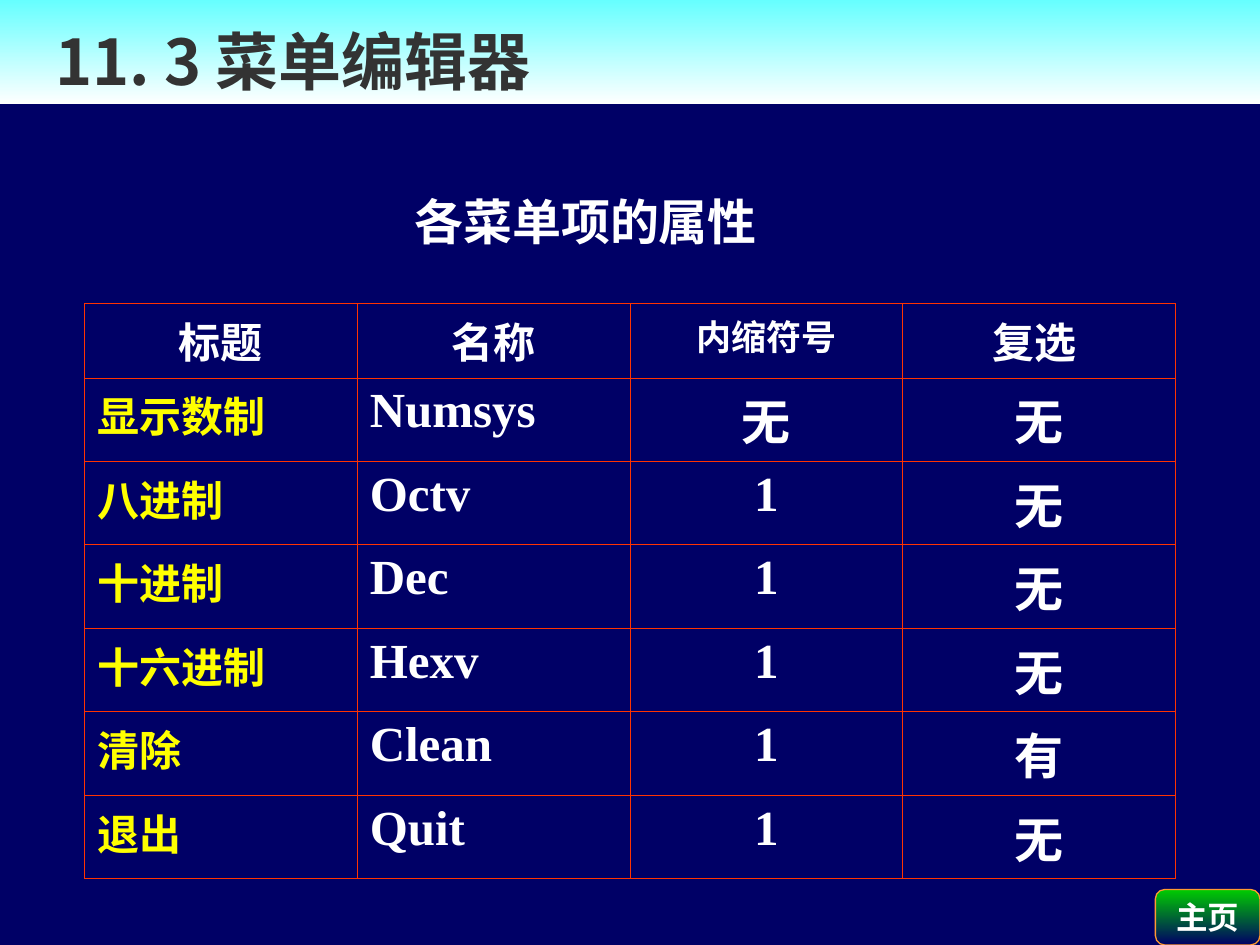
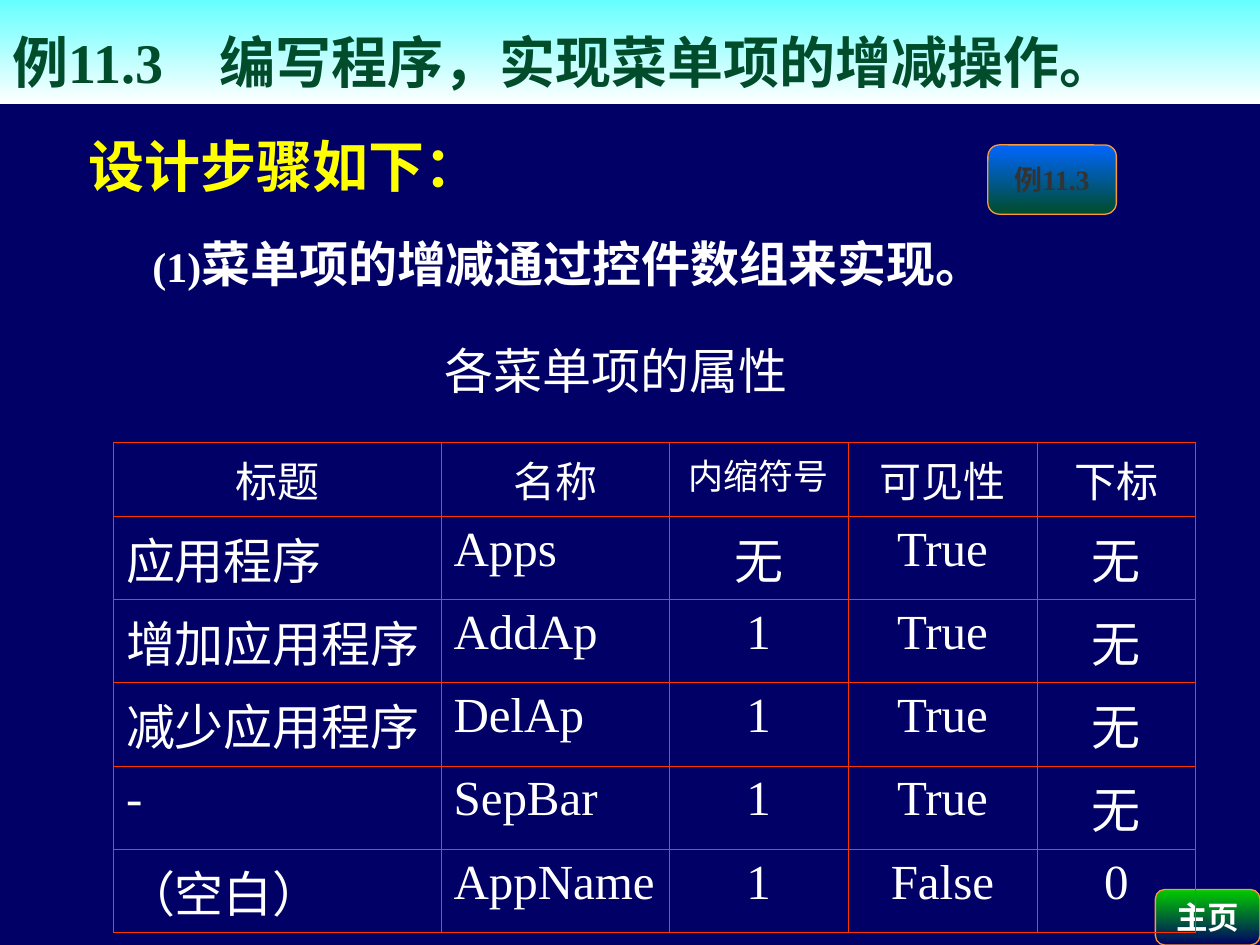
from lxml import etree
from pptx import Presentation
from pptx.dml.color import RGBColor
from pptx.enum.shapes import MSO_SHAPE
from pptx.enum.text import MSO_ANCHOR, MSO_AUTO_SIZE, PP_ALIGN
from pptx.oxml.ns import qn
from pptx.util import Inches, Pt

RECTANGLE = MSO_SHAPE.RECTANGLE
ROUNDED = MSO_SHAPE.ROUNDED_RECTANGLE
LEFT, CENTER = PP_ALIGN.LEFT, PP_ALIGN.CENTER
MIDDLE, BOTTOM = MSO_ANCHOR.MIDDLE, MSO_ANCHOR.BOTTOM
GROW = MSO_AUTO_SIZE.SHAPE_TO_FIT_TEXT

NAVY = RGBColor(0x00, 0x00, 0x66)
WHITE = RGBColor(0xFF, 0xFF, 0xFF)
YELLOW = RGBColor(0xFF, 0xFF, 0x00)
CYAN = RGBColor(0x66, 0xFF, 0xFF)
GREEN = RGBColor(0x00, 0xCC, 0x00)
DARK_GREEN = RGBColor(0x00, 0x4C, 0x2B)
BLUE = RGBColor(0x00, 0x66, 0xFF)
ORANGE = RGBColor(0xFF, 0x99, 0x33)
RED = RGBColor(0xFF, 0x33, 0x00)
CHARCOAL = RGBColor(0x33, 0x33, 0x33)

SERIF = "Times New Roman"
CJK_JP = "Noto Sans CJK JP"
CJK = "Noto Sans CJK SC"

MENU_ROWS = [
    ["标题", "名称", "内缩符号", "复选 "],
    ["显示数制", "Numsys", "无", "无"],
    ["八进制", "Octv", "1", "无"],
    ["十进制", "Dec", "1", "无"],
    ["十六进制", "Hexv", "1", "无"],
    ["清除", "Clean", "1", "有"],
    ["退出", "Quit", "1", "无"],
]
APP_ROWS = [
    ["标题", "名称", "内缩符号", "可见性", "下标"],
    ["应用程序", "Apps", "无", "True", "无"],
    ["增加应用程序", "AddAp", "1", "True", "无"],
    ["减少应用程序", "DelAp", "1", "True", "无"],
    ["-", "SepBar", "1", "True", "无"],
    ["（空白）", "AppName", "1", "False", "0"],
]


def add_run(paragraph, text, size, color, bold=True, latin=SERIF):
    run = paragraph.add_run()
    run.text = text
    font = run.font
    font.name, font.size, font.bold = latin, Pt(size), bold
    font.color.rgb = color
    east_asian = etree.Element(qn("a:ea"), typeface=CJK)
    font._element.find(qn("a:latin")).addnext(east_asian)


def add_gradient_shape(slide, kind, box, top_color, bottom_color):
    shape = slide.shapes.add_shape(kind, *map(Inches, box))
    shape.shadow.inherit = False
    shape.fill.gradient()
    shape.fill.gradient_angle = 270
    for stop, color in zip(shape.fill.gradient_stops, (top_color, bottom_color)):
        stop.color.rgb = color
    return shape


def add_button(slide, box, label, size, top_color, bottom_color, text_color):
    button = add_gradient_shape(slide, ROUNDED, box, top_color, bottom_color)
    button.line.color.rgb = ORANGE
    button.line.width = Pt(0.75)
    frame = button.text_frame
    frame.word_wrap = False
    frame.vertical_anchor = MIDDLE
    paragraph = frame.paragraphs[0]
    paragraph.alignment = CENTER
    add_run(paragraph, label, size, text_color)


def add_title_band(slide, left_inset, bottom_inset):
    band = add_gradient_shape(slide, RECTANGLE, (0, 0, 10, 0.83), CYAN, WHITE)
    band.line.fill.background()
    frame = band.text_frame
    frame.word_wrap = True
    frame.vertical_anchor = BOTTOM
    frame.margin_left = Inches(left_inset)
    frame.margin_bottom = Inches(bottom_inset)
    paragraph = frame.paragraphs[0]
    paragraph.alignment = LEFT
    return paragraph


def add_tab_stop(paragraph, position):
    tab_list = etree.SubElement(paragraph._p.get_or_add_pPr(), qn("a:tabLst"))
    etree.SubElement(tab_list, qn("a:tab"), pos=str(Inches(position)), algn="l")


def add_caption(slide, left, top, bold):
    box = slide.shapes.add_textbox(Inches(left), Inches(top), Inches(3.39), Inches(0.57))
    frame = box.text_frame
    frame.word_wrap = True
    frame.auto_size = GROW
    add_run(frame.paragraphs[0], "各菜单项的属性", 28, WHITE, bold)


def add_steps(slide, left, top, width, height):
    box = slide.shapes.add_textbox(*map(Inches, (left, top, width, height)))
    frame = box.text_frame
    frame.word_wrap = True
    frame.margin_left = frame.margin_top = 0
    heading = frame.paragraphs[0]
    add_run(heading, "设计步骤如下：", 32, YELLOW)
    step = frame.add_paragraph()
    step.space_before = Pt(12)
    step.line_spacing = 1.25
    add_run(step, "(1)", 24, WHITE)
    add_run(step, "菜单项的增减通过控件数组来实现。", 28, WHITE)
    for paragraph, indent in ((heading, 0.7), (step, 1.21)):
        paragraph._p.get_or_add_pPr().set("marL", str(Inches(indent)))


def set_borders(cell):
    properties = cell._tc.get_or_add_tcPr()
    for side in ("lnL", "lnR", "lnT", "lnB"):
        line = etree.SubElement(properties, qn(f"a:{side}"), w=str(Pt(0.45)))
        fill = etree.SubElement(line, qn("a:solidFill"))
        etree.SubElement(fill, qn("a:srgbClr"), val=str(RED))


def add_property_table(slide, left, top, widths, rows, bold, name_size, name_color):
    heights = [0.59] + [0.66] * (len(rows) - 1)
    frame = slide.shapes.add_table(
        len(rows), len(widths), Inches(left), Inches(top),
        Inches(sum(widths)), Inches(sum(heights)))
    table = frame.table
    table.first_row = table.horz_banding = False
    for column, width in zip(table.columns, widths):
        column.width = Inches(width)
    for row, height in zip(table.rows, heights):
        row.height = Inches(height)
    for row_index, texts in enumerate(rows):
        for column_index, text in enumerate(texts):
            size, color = 28, WHITE
            if row_index == 0:
                size = 20 if text == "内缩符号" else 24
            elif column_index == 0:
                size, color = name_size, name_color
            cell = table.cell(row_index, column_index)
            set_borders(cell)
            cell.fill.background()
            paragraph = cell.text_frame.paragraphs[0]
            paragraph.alignment = CENTER if row_index == 0 or column_index > 1 else LEFT
            add_run(paragraph, text, size, color, bold)


def add_base_slide(presentation):
    slide = presentation.slides.add_slide(presentation.slide_layouts[6])
    slide.background.fill.solid()
    slide.background.fill.fore_color.rgb = NAVY
    add_button(slide, (9.17, 7.06, 0.83, 0.44), "主页", 18, GREEN, NAVY, WHITE)
    return slide


def build_menu_editor_slide(presentation):
    slide = add_base_slide(presentation)
    title = add_title_band(slide, 0.44, 0.05)
    add_run(title, "11. 3 ", 36, CHARCOAL, latin=CJK_JP)
    add_run(title, "菜单编辑器", 36, CHARCOAL, latin=CJK)
    add_property_table(slide, 0.67, 2.41, [8.66 / 4] * 4, MENU_ROWS, True, 24, YELLOW)
    add_caption(slide, 3.19, 1.47, True)


def build_example_slide(presentation):
    slide = add_base_slide(presentation)
    add_steps(slide, 0, 1.04, 10, 1.5)
    add_button(slide, (7.84, 1.15, 1.02, 0.55), "例11.3", 16, BLUE, DARK_GREEN, CHARCOAL)
    title = add_title_band(slide, 0.1, 0.08)
    add_tab_stop(title, 1.64)
    add_run(title, "例11.3\t编写程序，实现菜单项的增减操作。", 32, DARK_GREEN)
    add_property_table(slide, 0.9, 3.51, [2.6, 1.81, 1.42, 1.5, 1.26],
                       APP_ROWS, False, 28, WHITE)
    add_caption(slide, 3.43, 2.65, False)


def main():
    presentation = Presentation()
    presentation.slide_width = Inches(10)
    presentation.slide_height = Inches(7.5)
    build_menu_editor_slide(presentation)
    build_example_slide(presentation)
    presentation.save("out.pptx")


if __name__ == "__main__":
    main()
